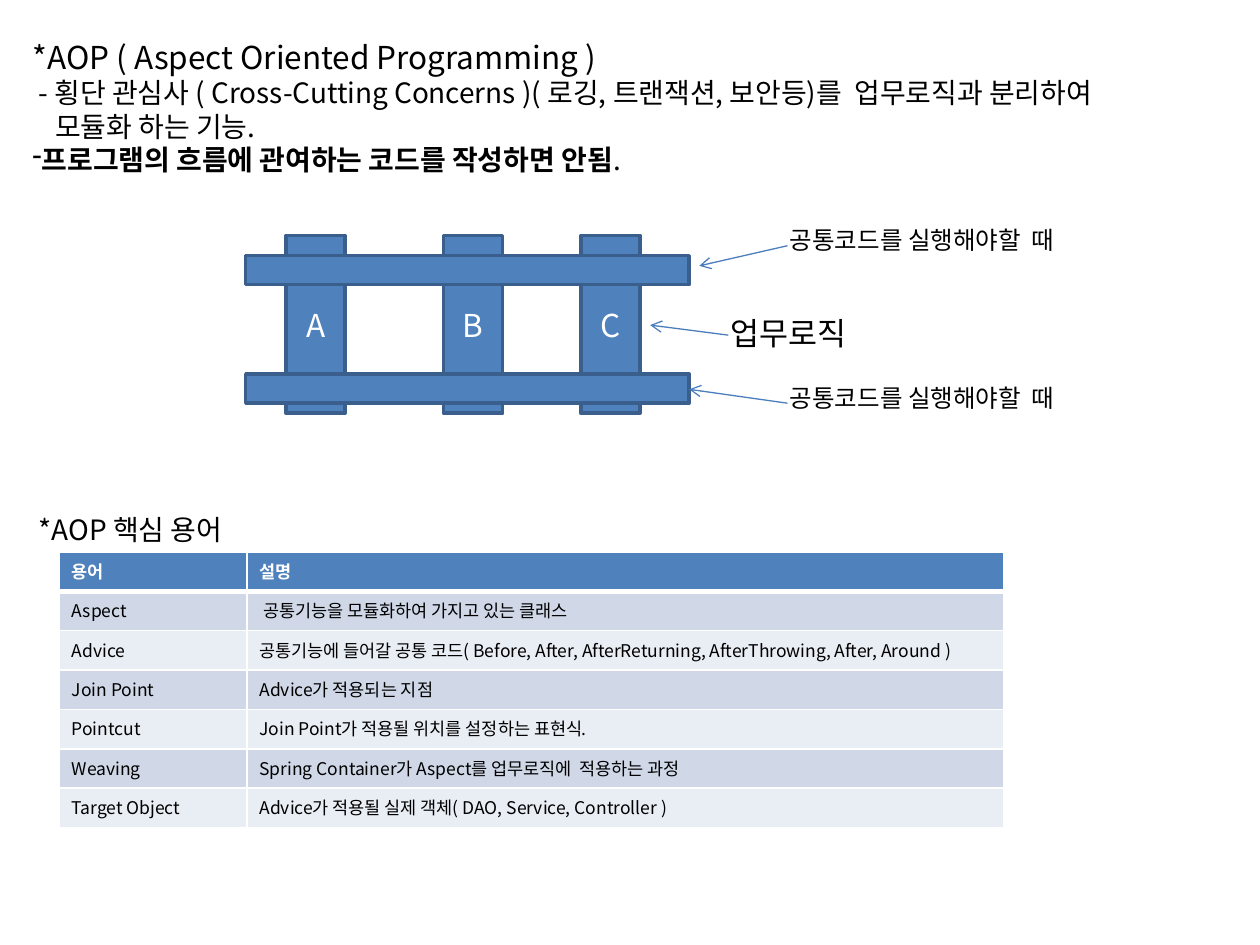
from pptx import Presentation
from pptx.dml.color import RGBColor
from pptx.enum.shapes import MSO_CONNECTOR, MSO_SHAPE
from pptx.enum.text import MSO_ANCHOR, PP_ALIGN
from pptx.oxml.ns import qn
from pptx.util import Inches, Pt
from lxml.etree import SubElement

FONT = "Noto Sans CJK KR"
COLORS = {
    "text": "000000",
    "white": "FFFFFF",
    "blue": "4F81BD",
    "outline": "3A5F8C",
    "arrow": "4B7EBC",
    "dark_band": "D0D8E8",
    "light_band": "E9EDF4",
}
TERMS = [
    ("용어", "설명"),
    ("Aspect", " 공통기능을 모듈화하여 가지고 있는 클래스"),
    ("Advice", "공통기능에 들어갈 공통 코드( Before, After, AfterReturning, AfterThrowing, After, Around )"),
    ("Join Point", "Advice가 적용되는 지점"),
    ("Pointcut", "Join Point가 적용될 위치를 설정하는 표현식."),
    ("Weaving", "Spring Container가 Aspect를 업무로직에  적용하는 과정"),
    ("Target Object", "Advice가 적용될 실제 객체( DAO, Service, Controller )"),
]


def color(name):
    return RGBColor.from_string(COLORS[name])


def add_run(paragraph, text, size=16, bold=False, fill="text"):
    run = paragraph.add_run()
    run.text = text
    run.font.size = Pt(size)
    run.font.bold = bold
    run.font.name = FONT
    run.font.color.rgb = color(fill)
    properties = run._r.get_or_add_rPr()
    SubElement(properties, qn("a:ea")).set("typeface", FONT)


def format_paragraph(paragraph, size=16, margin=0, bullet=None):
    paragraph.alignment = PP_ALIGN.LEFT
    paragraph.line_spacing = Pt(size * 1.2)
    paragraph.space_before = Pt(0)
    properties = paragraph._p.get_or_add_pPr()
    properties.set("marL", str(Inches(margin)))
    properties.set("indent", str(-Inches(margin) if bullet else 0))
    if bullet:
        SubElement(properties, qn("a:buChar")).set("char", bullet)


def add_text_box(slide, left, top, width, height, wrap=False):
    box = slide.shapes.add_textbox(Inches(left), Inches(top), Inches(width), Inches(height))
    box.text_frame.word_wrap = wrap
    return box.text_frame


def add_label(slide, text, left, top, width, height, size=16, wrap=False):
    paragraph = add_text_box(slide, left, top, width, height, wrap).paragraphs[0]
    format_paragraph(paragraph, size)
    add_run(paragraph, text, size)


def add_title(slide, text):
    title = slide.shapes.title
    title.left, title.top = Inches(0.16), Inches(0.25)
    title.width, title.height = Inches(9.4), Inches(0.4)
    frame = title.text_frame
    frame.word_wrap = False
    frame.vertical_anchor = MSO_ANCHOR.TOP
    format_paragraph(frame.paragraphs[0], 18)
    add_run(frame.paragraphs[0], text, 18)


def add_summary(slide):
    frame = add_text_box(slide, 0.16, 0.55, 9.4, 0.9)
    concern = frame.paragraphs[0]
    format_paragraph(concern, margin=0.05)
    add_run(concern, "- 횡단 관심사 ( Cross-Cutting Concerns )( 로깅, 트랜잭션, 보안등)를  업무로직과 분리하여")
    module = frame.add_paragraph()
    format_paragraph(module, margin=0.18)
    add_run(module, "모듈화 하는 기능.")
    warning = frame.add_paragraph()
    format_paragraph(warning, margin=0.07, bullet="-")
    add_run(warning, "프로그램의 흐름에 관여하는 코드를 작성하면 안됨", bold=True)
    add_run(warning, ".")


def add_bar(slide, left, top, width, height, text=None):
    bar = slide.shapes.add_shape(
        MSO_SHAPE.RECTANGLE, Inches(left), Inches(top), Inches(width), Inches(height))
    bar.shadow.inherit = False
    bar.fill.solid()
    bar.fill.fore_color.rgb = color("blue")
    bar.line.color.rgb = color("outline")
    bar.line.width = Pt(2)
    if text:
        frame = bar.text_frame
        frame.vertical_anchor = MSO_ANCHOR.MIDDLE
        frame.paragraphs[0].alignment = PP_ALIGN.CENTER
        add_run(frame.paragraphs[0], text, 18, fill="white")


def add_arrow(slide, start, end):
    arrow = slide.shapes.add_connector(
        MSO_CONNECTOR.STRAIGHT, *(Inches(value) for value in (*start, *end)))
    arrow.line.color.rgb = color("arrow")
    arrow.line.width = Pt(0.75)
    SubElement(arrow.line._get_or_add_ln(), qn("a:tailEnd")).set("type", "arrow")
    SubElement(arrow._element.spPr, qn("a:effectLst"))


def set_borders(cell, bottom):
    properties = cell._tc.get_or_add_tcPr()
    widths = {"lnL": 1, "lnR": 1, "lnT": 1, "lnB": bottom}
    for index, (side, width) in enumerate(widths.items()):
        line = SubElement(properties, qn(f"a:{side}"))
        line.set("w", str(Pt(width)))
        fill = SubElement(line, qn("a:solidFill"))
        SubElement(fill, qn("a:srgbClr")).set("val", COLORS["white"])
        properties.insert(index, line)


def add_terms_table(slide):
    table = slide.shapes.add_table(
        len(TERMS), 2, Inches(0.47), Inches(4.38), Inches(7.5), Inches(2.19)).table
    table.columns[0].width = Inches(1.49)
    table.columns[1].width = Inches(6.01)
    for row, texts in enumerate(TERMS):
        header = row == 0
        band = "blue" if header else "dark_band" if row % 2 else "light_band"
        for column, text in enumerate(texts):
            cell = table.cell(row, column)
            cell.fill.solid()
            cell.fill.fore_color.rgb = color(band)
            set_borders(cell, 3 if header else 1)
            add_run(cell.text_frame.paragraphs[0], text, 10, header,
                    "white" if header else "text")


def main():
    presentation = Presentation()
    presentation.slide_width, presentation.slide_height = Inches(10), Inches(7.5)
    slide = presentation.slides.add_slide(presentation.slide_layouts[5])

    add_title(slide, "*AOP ( Aspect Oriented Programming )")
    add_summary(slide)

    for text, left in (("A", 2.27), ("B", 3.52), ("C", 4.61)):
        add_bar(slide, left, 1.87, 0.47, 1.41, text)
    for top in (2.03, 2.97):
        add_bar(slide, 1.95, top, 3.52, 0.23)

    add_label(slide, "업무로직", 5.7, 2.44, 1.21, 0.4, 18)
    for top in (1.74, 2.99):
        add_label(slide, "공통코드를 실행해야할  때", 6.17, top, 2.66, 0.34, 14, True)
    for start, end in (((5.78, 2.66), (5.16, 2.58)),
                       ((6.25, 1.95), (5.55, 2.11)),
                       ((6.25, 3.2), (5.47, 3.09))):
        add_arrow(slide, start, end)

    add_label(slide, "*AOP 핵심 용어", 0.21, 4.02, 1.8, 0.37)
    add_terms_table(slide)
    presentation.save("out.pptx")


if __name__ == "__main__":
    main()
